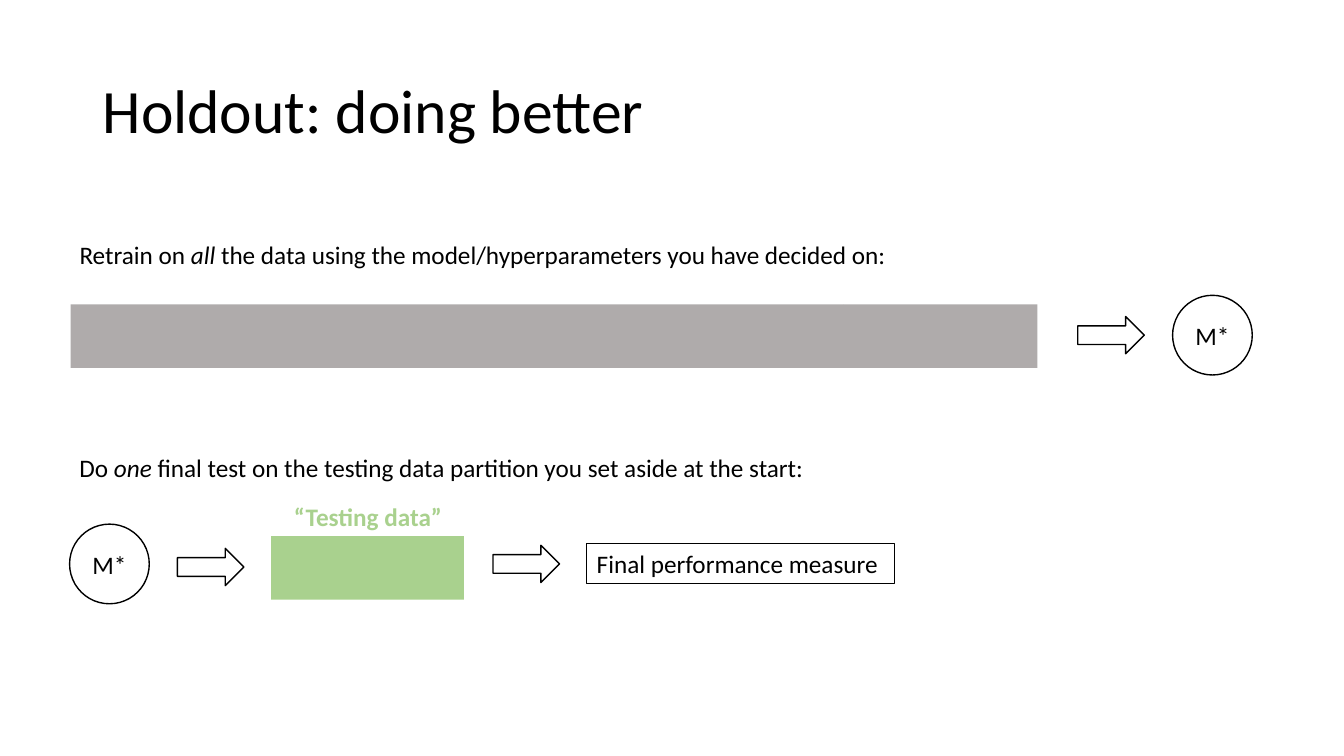
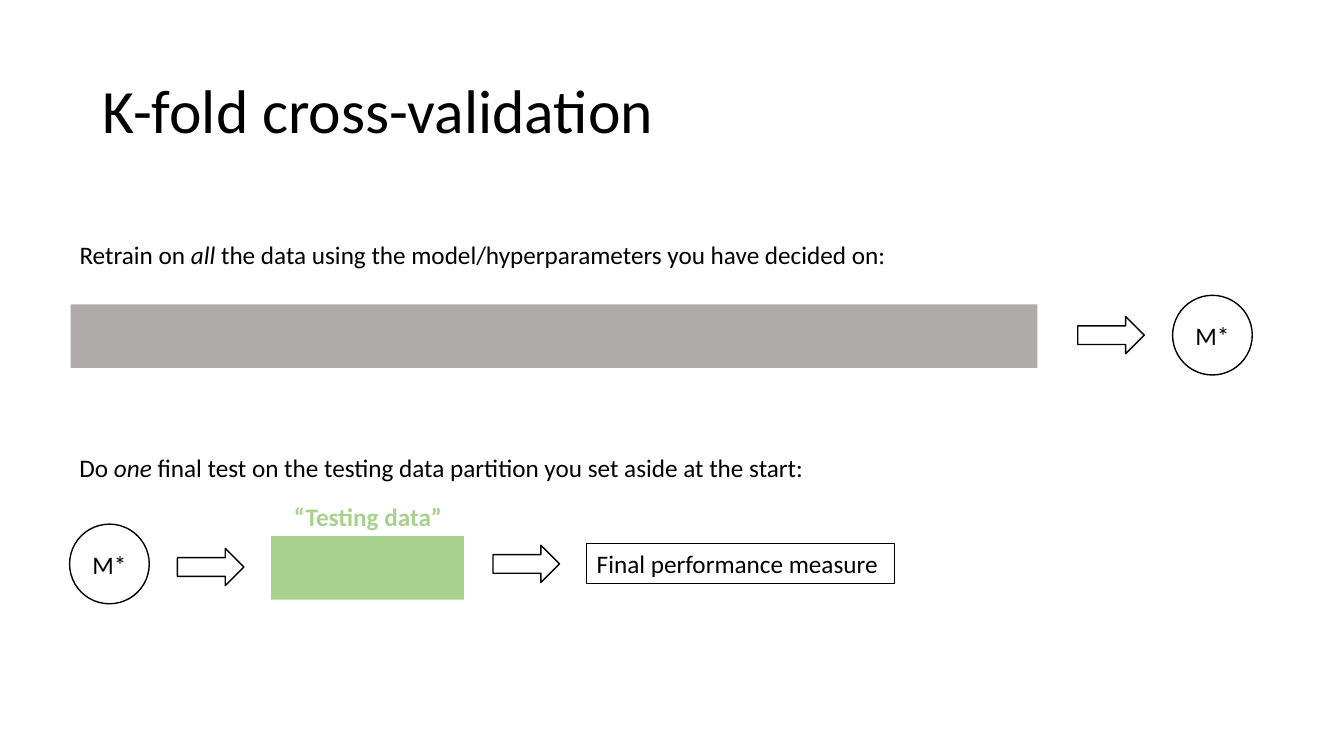
import pptx
import pptx.dml.color
import pptx.enum.shapes
import pptx.enum.text
import pptx.util

Inches = pptx.util.Inches
Pt = pptx.util.Pt
SHAPE = pptx.enum.shapes.MSO_SHAPE
ALIGN = pptx.enum.text.PP_ALIGN
ANCHOR = pptx.enum.text.MSO_ANCHOR

FONT = "Calibri"
BLACK = "000000"
WHITE = "FFFFFF"
GREY = "AFABAB"
GREEN = "A9D18E"

LEFT = 0.69
BAR_HEIGHT = 0.63
TITLES = ["Holdout: doing better", "K-fold cross-validation"]


def rgb(color):
    return pptx.dml.color.RGBColor.from_string(color)


def style_runs(p, size=18, color=BLACK, bold=False):
    for r in p.runs:
        r.font.name = FONT
        r.font.size = Pt(size)
        r.font.bold = bold
        r.font.color.rgb = rgb(color)


def add_title(slide, text):
    sp = slide.shapes.add_textbox(Inches(0.92), Inches(0.4), Inches(11.5), Inches(1.45))
    tf = sp.text_frame
    tf.word_wrap = True
    tf.vertical_anchor = ANCHOR.MIDDLE
    tf.text = text
    p = tf.paragraphs[0]
    p.line_spacing = 0.9
    style_runs(p, size=44)


def add_step(slide, top, width, before, emphasis, after):
    """Add an instruction line with one word in italics."""
    sp = slide.shapes.add_textbox(Inches(LEFT), Inches(top), Inches(width), Inches(0.4))
    tf = sp.text_frame
    tf.word_wrap = True
    p = tf.paragraphs[0]
    for text in (before, emphasis, after):
        r = p.add_run()
        r.text = text
        r.font.italic = text == emphasis
    style_runs(p)


def add_shape(slide, kind, left, top, width, height, fill=None, line=None):
    """Add a flat shape; line is the width of a black outline in points."""
    sp = slide.shapes.add_shape(kind, Inches(left), Inches(top), Inches(width), Inches(height))
    sp.shadow.inherit = False
    if fill:
        sp.fill.solid()
        sp.fill.fore_color.rgb = rgb(fill)
    else:
        sp.fill.background()
    if line:
        sp.line.color.rgb = rgb(BLACK)
        sp.line.width = Pt(line)
    else:
        sp.line.fill.background()
    return sp


def set_label(sp, text, align=ALIGN.CENTER, anchor=ANCHOR.TOP, color=BLACK, bold=False):
    tf = sp.text_frame
    tf.word_wrap = False
    tf.vertical_anchor = anchor
    tf.text = text
    p = tf.paragraphs[0]
    p.alignment = align
    style_runs(p, color=color, bold=bold)


def add_data_bar(slide, left, top, width, color):
    add_shape(slide, SHAPE.RECTANGLE, left, top, width, BAR_HEIGHT, fill=color)


def add_arrow(slide, left, top):
    add_shape(slide, SHAPE.RIGHT_ARROW, left, top, 0.66, 0.37, line=1)


def add_model(slide, left, top):
    sp = add_shape(slide, SHAPE.OVAL, left, top, 0.79, 0.79, line=1)
    set_label(sp, "M*", anchor=ANCHOR.MIDDLE)


def add_retraining(slide):
    add_step(slide, 2.33, 9.68, "Retrain on ", "all",
             " the data using the model/hyperparameters you have decided on:")
    add_data_bar(slide, 0.7, 3.02, 7.67, GREY)
    add_data_bar(slide, 8.37, 3.02, 1.92, GREY)
    add_arrow(slide, 10.69, 3.14)
    add_model(slide, 11.63, 2.93)


def add_final_test(slide):
    add_step(slide, 4.44, 7.67, "Do ", "one",
             " final test on the testing data partition you set aside at the start:")
    add_model(slide, LEFT, 5.2)
    add_arrow(slide, 1.76, 5.44)
    caption = add_shape(slide, SHAPE.RECTANGLE, 2.75, 4.92, 1.8, 0.4, fill=WHITE)
    set_label(caption, "“Testing data”", color=GREEN, bold=True)
    add_data_bar(slide, 2.69, 5.32, 1.91, GREEN)
    add_arrow(slide, 4.89, 5.41)
    result = add_shape(slide, SHAPE.RECTANGLE, 5.82, 5.39, 3.05, 0.4, line=0.75)
    set_label(result, "Final performance measure", align=ALIGN.LEFT)


def main():
    prs = pptx.Presentation()
    prs.slide_width = Inches(13.33)
    prs.slide_height = Inches(7.5)
    for title in TITLES:
        slide = prs.slides.add_slide(prs.slide_layouts[6])
        add_title(slide, title)
        add_retraining(slide)
        add_final_test(slide)
    prs.save("out.pptx")


if __name__ == "__main__":
    main()
